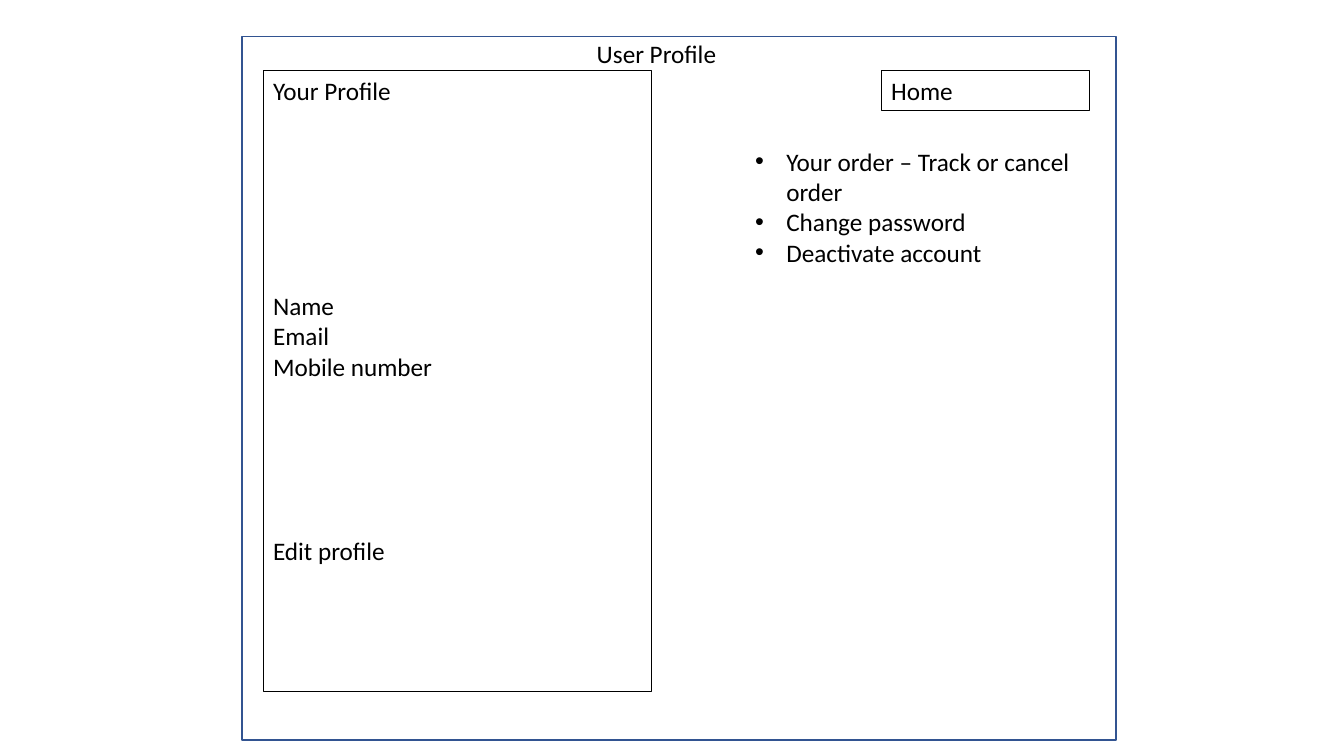
from pptx import Presentation
from pptx.dml.color import RGBColor as Rgb
from pptx.enum.shapes import MSO_SHAPE as Shape
from pptx.enum.text import MSO_ANCHOR as Anchor, PP_ALIGN as Align
from pptx.util import Inches, Pt
from lxml.etree import SubElement

INK = {"frame": "325491", "text": "000000"}
LINE = 22


def add_rect(slide, box, color, width):
    rect = slide.shapes.add_shape(Shape.RECTANGLE, *map(Inches, box))
    rect.shadow.inherit = False
    rect.fill.background()
    rect.line.color.rgb = Rgb.from_string(INK[color])
    rect.line.width = Pt(width)
    return rect


def add_label(slide, box):
    return slide.shapes.add_textbox(*map(Inches, box))


def write(shape, lines, gaps={}, indent=0, bullet=None):
    frame = shape.text_frame
    frame.word_wrap = True
    frame.vertical_anchor = Anchor.TOP
    for i, line in enumerate(lines):
        para = frame.paragraphs[0] if i == 0 else frame.add_paragraph()
        para.alignment = Align.LEFT
        if line in gaps:
            para.space_before = Pt(gaps[line] * LINE)
        run = para.add_run()
        run.text = line
        run.font.name = "Calibri"
        run.font.size = Pt(18)
        run.font.color.rgb = Rgb.from_string(INK["text"])
        props = para._p.get_or_add_pPr()
        if indent:
            props.set("marL", str(Inches(indent)))
        if bullet:
            props.set("indent", str(-Inches(indent)))
            space = props.nsmap["a"]
            SubElement(props, f"{{{space}}}buFont", typeface="Arial")
            SubElement(props, f"{{{space}}}buChar", char=bullet)


def add_title(slide, x, y, w, h):
    write(add_label(slide, (x, y, w, h)), ["User Profile"], indent=1)


def add_card(slide, x, y, w, h):
    card = add_rect(slide, (x, y, w, h), "text", 0.75)
    lines = ["Your Profile", "Name", "Email", "Mobile number", "Edit profile"]
    write(card, lines, gaps={"Name": 6, "Edit profile": 5})


def add_menu(slide, x, y, w, h):
    home = add_rect(slide, (x + 1.35, y, 2.07, 0.4), "text", 0.75)
    write(home, ["Home"])
    links = add_label(slide, (x, y + 0.7, w, h - 0.7))
    lines = ["Your order – Track or cancel order", "Change password",
             "Deactivate account"]
    write(links, lines, indent=0.31, bullet="•")


def add_page(slide, x, y, w, h):
    add_rect(slide, (x, y, w, h), "frame", 1)
    top = y + 0.34
    add_card(slide, x + 0.21, top, 3.85, 6.16)
    add_menu(slide, x + w - 3.68, top, 3.68, 2.01)
    add_title(slide, x + 2.42, y - 0.03, 3.68, 0.4)


def main():
    deck = Presentation()
    deck.slide_width, deck.slide_height = Inches(13.33), Inches(7.5)
    slide = deck.slides.add_slide(deck.slide_layouts[6])
    add_page(slide, 2.4, 0.36, 8.67, 6.98)
    deck.save("out.pptx")


if __name__ == "__main__":
    main()
